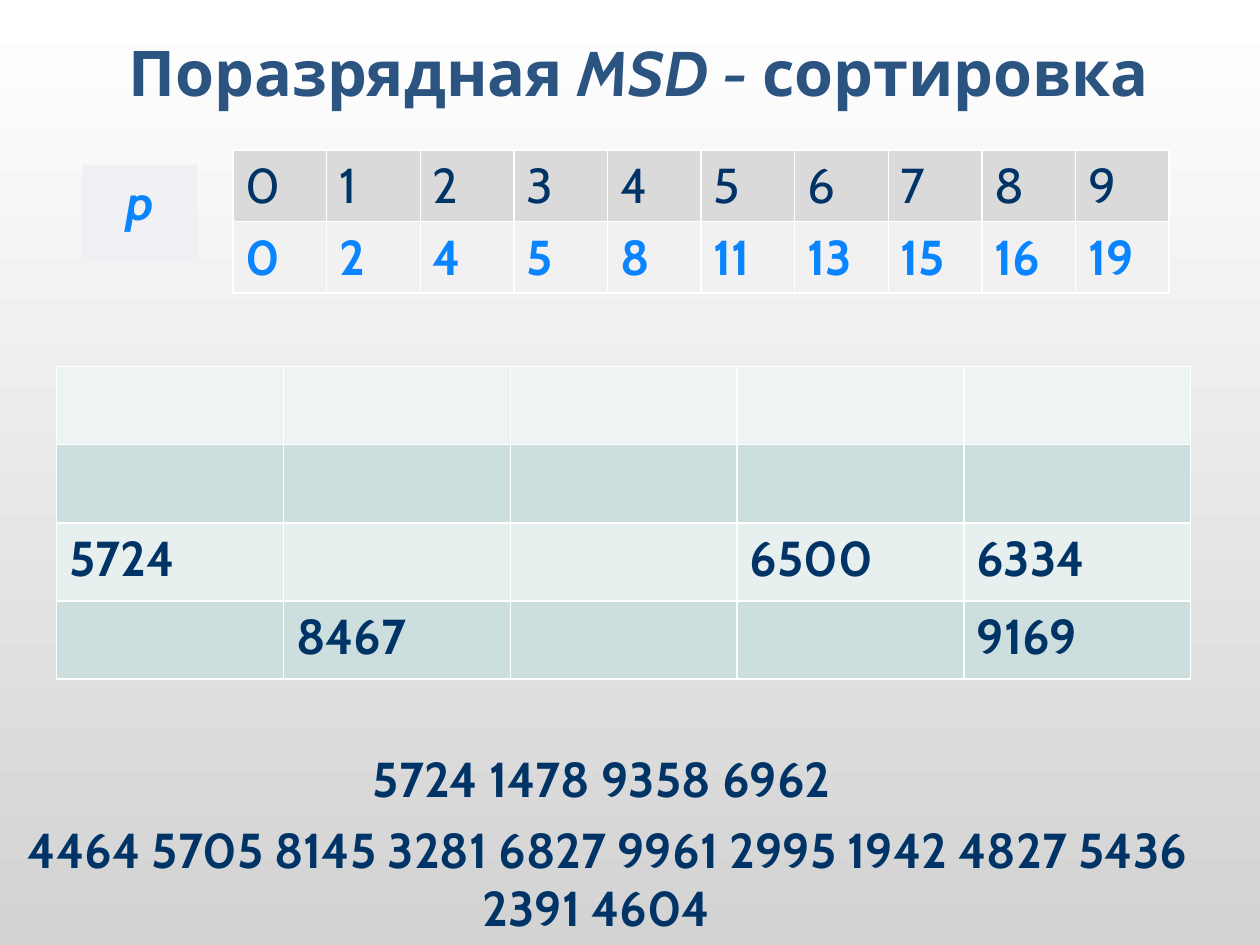
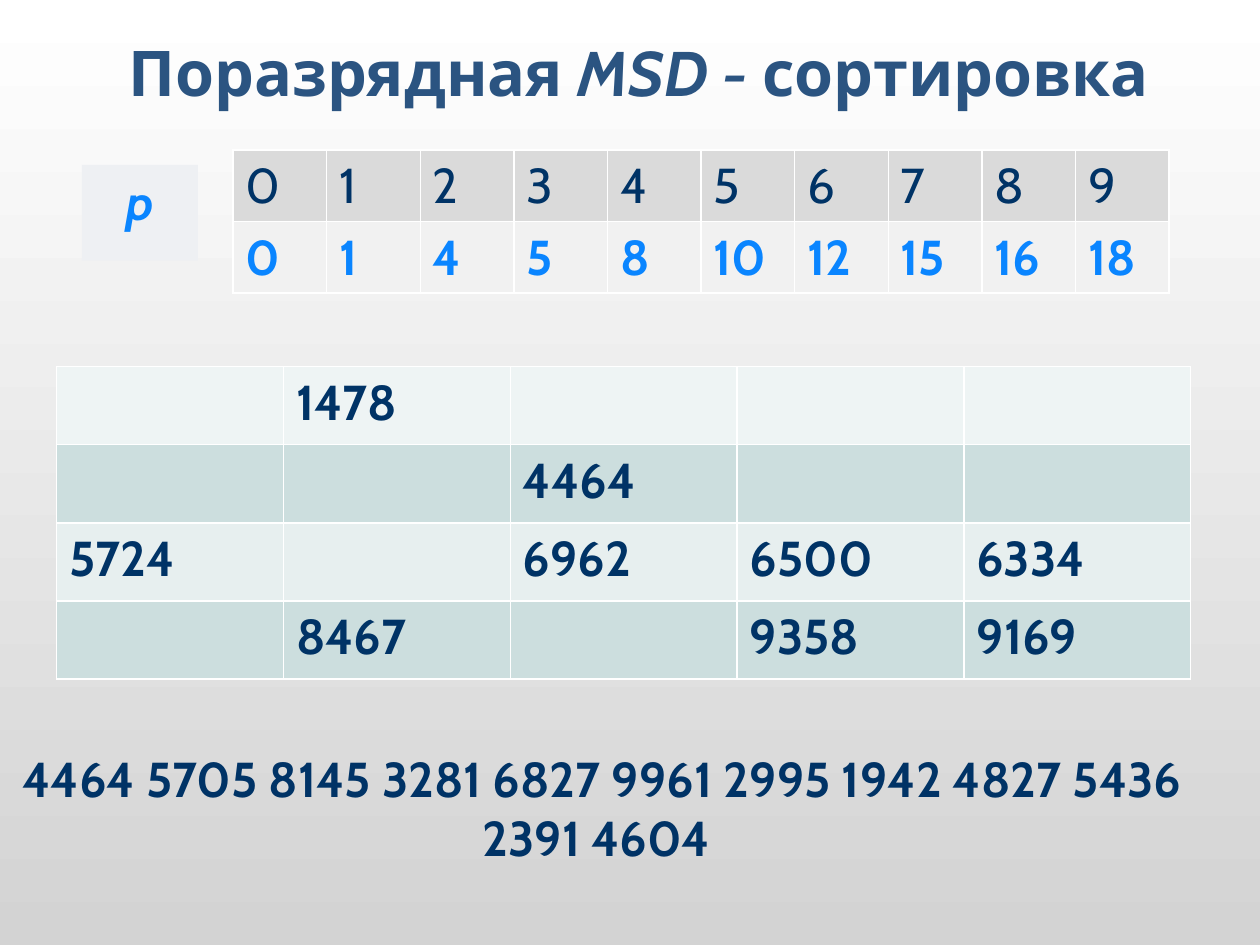
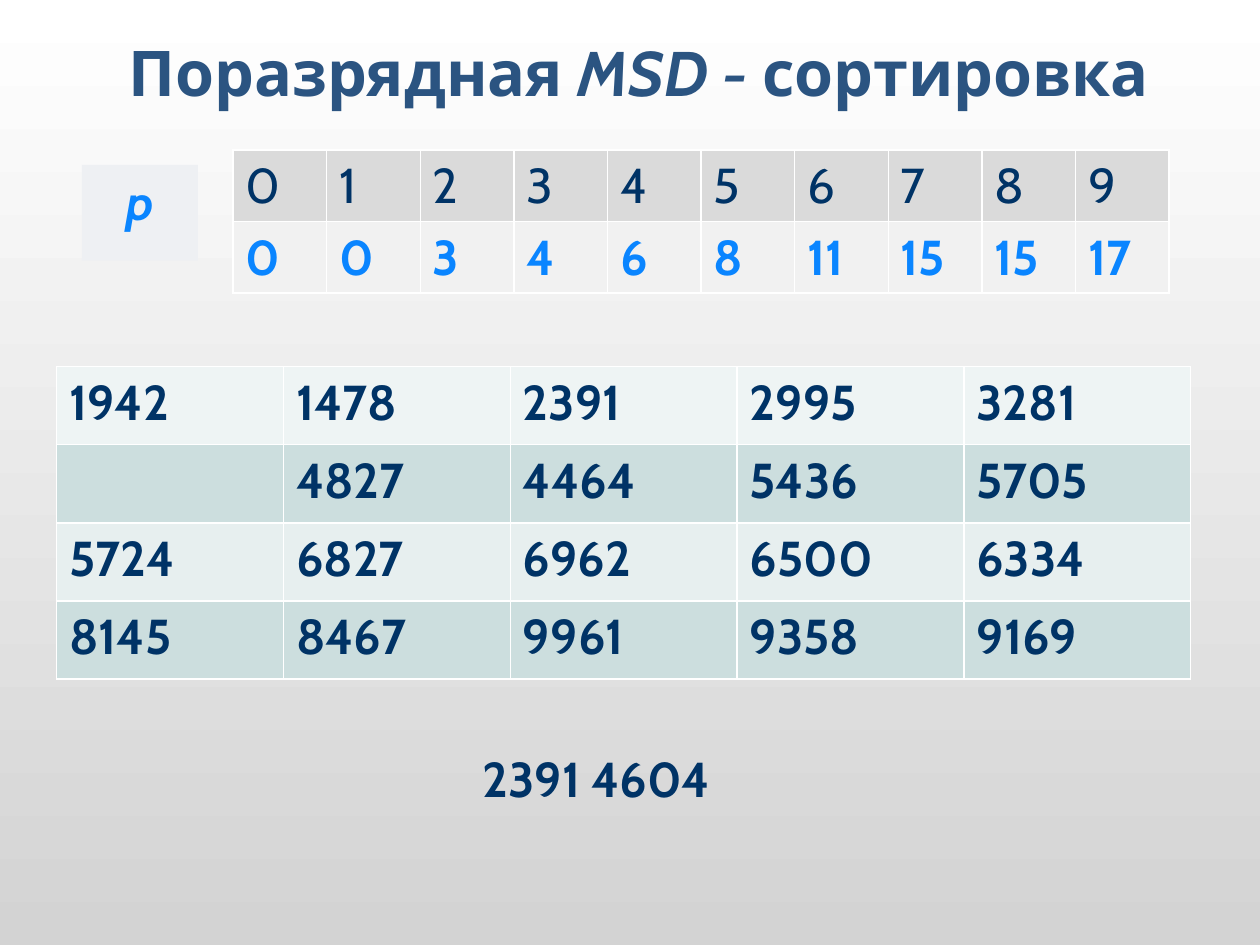
from collections import namedtuple
from dataclasses import dataclass

from lxml.etree import SubElement
from pptx import Presentation
from pptx.dml.color import RGBColor
from pptx.enum.shapes import MSO_SHAPE
from pptx.enum.text import MSO_ANCHOR, MSO_AUTO_SIZE, PP_ALIGN
from pptx.oxml.ns import qn
from pptx.util import Inches, Pt

Box = namedtuple("Box", "left top width height")
Step = namedtuple("Step", "positions numbers waiting")


@dataclass(frozen=True)
class Theme:
    """Colours and type sizes shared by all slides."""
    font: str = "Cabin"
    title_size: float = 36
    body_size: float = 28
    paragraph_gap: float = 6.8
    border_width: float = 1
    title: str = "2B5481"
    text: str = "003366"
    accent: str = "0A85FF"
    label_fill: str = "EEF0F3"
    border: str = "FFFFFF"
    digit_fills: tuple = ("DADADA", "F1F1F1")
    number_fills: tuple = ("EEF4F4", "CCDEDE", "E7EFEF", "CCDEDE")
    background: tuple = ("FFFFFF", "D3D3D3")


THEME = Theme()
TITLE_BOX = Box(0.57, 0.32, 9, 0.5)
LABEL_BOX = Box(0.65, 1.31, 0.92, 0.76)
POSITIONS_BOX = Box(1.85, 1.19, 7.43, 0.97)
NUMBERS_BOX = Box(0.45, 2.91, 9, 2.48)
WAITING_BOX = Box(0, 5.89, 9.55, 0.57)

STEPS = [
    Step(
        [0, 2, 4, 5, 8, 11, 13, 15, 16, 19],
        [["", "", "", "", ""],
         ["", "", "", "", ""],
         ["5724", "", "", "6500", "6334"],
         ["", "8467", "", "", "9169"]],
        ["5724 1478 9358 6962",
         " 4464 5705 8145 3281 6827 9961 2995 1942 4827 5436 2391 4604 "],
    ),
    Step(
        [0, 1, 4, 5, 8, 10, 12, 15, 16, 18],
        [["", "1478", "", "", ""],
         ["", "", "4464", "", ""],
         ["5724", "", "6962", "6500", "6334"],
         ["", "8467", "", "9358", "9169"]],
        ["4464 5705 8145 3281 6827 9961 2995 1942 4827 5436 2391 4604 "],
    ),
    Step(
        [0, 0, 3, 4, 6, 8, 11, 15, 15, 17],
        [["1942", "1478", "2391", "2995", "3281"],
         ["", "4827", "4464", "5436", "5705"],
         ["5724", "6827", "6962", "6500", "6334"],
         ["8145", "8467", "9961", "9358", "9169"]],
        ["2391 4604 "],
    ),
]


def inches(box):
    """Return the sides of a box as lengths."""
    return [Inches(side) for side in box]


def style_runs(paragraph, size, color, bold=True, italic=False):
    """Format every run of a paragraph."""
    for run in paragraph.runs:
        run.font.name = THEME.font
        run.font.size = Pt(size)
        run.font.color.rgb = RGBColor.from_string(color)
        run.font.bold = bold
        run.font.italic = italic


def paint(part, color):
    """Fill a shape or cell with one colour."""
    part.fill.solid()
    part.fill.fore_color.rgb = RGBColor.from_string(color)


def set_borders(cell):
    """Draw the four borders of a table cell."""
    properties = cell._tc.get_or_add_tcPr()
    for side in ("a:lnL", "a:lnR", "a:lnT", "a:lnB"):
        line = SubElement(properties, qn(side), w=str(Pt(THEME.border_width)))
        solid = SubElement(line, qn("a:solidFill"))
        SubElement(solid, qn("a:srgbClr"), val=THEME.border)


def add_grid(slide, box, rows, fills, colors, bolds):
    """Add a table whose rows each have their own fill, colour and weight."""
    grid = slide.shapes.add_table(len(rows), len(rows[0]), *inches(box)).table
    grid.first_row = grid.horz_banding = False
    for r, values in enumerate(rows):
        for c, value in enumerate(values):
            cell = grid.cell(r, c)
            set_borders(cell)
            paint(cell, fills[r])
            cell.text_frame.text = str(value)
            style_runs(cell.text_frame.paragraphs[0], THEME.body_size, colors[r], bolds[r])


def add_title(slide, box):
    """Add the slide title with its italic algorithm name."""
    frame = slide.shapes.add_textbox(*inches(box)).text_frame
    frame.word_wrap = True
    frame.vertical_anchor = MSO_ANCHOR.MIDDLE
    heading = frame.paragraphs[0]
    heading.alignment = PP_ALIGN.CENTER
    for words in ("Поразрядная ", "MSD - ", "сортировка"):
        heading.add_run().text = words
    style_runs(heading, THEME.title_size, THEME.title)
    heading.runs[1].font.italic = True


def add_label(slide, box):
    """Add the name of the position array."""
    label = slide.shapes.add_shape(MSO_SHAPE.RECTANGLE, *inches(box))
    label.shadow.inherit = False
    label.line.fill.background()
    paint(label, THEME.label_fill)
    label.text_frame.vertical_anchor = MSO_ANCHOR.TOP
    label.text_frame.text = "p"
    name = label.text_frame.paragraphs[0]
    name.alignment = PP_ALIGN.CENTER
    style_runs(name, THEME.body_size, THEME.accent, italic=True)


def add_waiting(slide, box, lines):
    """Add the numbers that are still to be placed."""
    frame = slide.shapes.add_textbox(*inches(box)).text_frame
    frame.word_wrap = True
    frame.auto_size = MSO_AUTO_SIZE.SHAPE_TO_FIT_TEXT
    frame.text = "\n".join(lines)
    for i, paragraph in enumerate(frame.paragraphs):
        paragraph.alignment = PP_ALIGN.CENTER
        paragraph.space_before = Pt(THEME.paragraph_gap if i else 0)
        style_runs(paragraph, THEME.body_size, THEME.text)


def add_step(slide, step):
    """Build the slide of one sorting step."""
    add_grid(slide, NUMBERS_BOX, step.numbers, THEME.number_fills,
             [THEME.text] * 4, [True] * 4)
    add_title(slide, TITLE_BOX)
    add_label(slide, LABEL_BOX)
    add_grid(slide, POSITIONS_BOX, [range(10), step.positions], THEME.digit_fills,
             [THEME.text, THEME.accent], [False, True])
    add_waiting(slide, WAITING_BOX, step.waiting)


def set_background(master):
    """Give all slides a vertical gradient."""
    fill = master.background.fill
    fill.gradient()
    fill.gradient_angle = 270
    for stop, color, position in zip(fill.gradient_stops, THEME.background, (0, 1)):
        stop.color.rgb = RGBColor.from_string(color)
        stop.position = position


def main():
    """Build and save the presentation."""
    deck = Presentation()
    deck.slide_width, deck.slide_height = Inches(10), Inches(7.5)
    set_background(deck.slide_master)
    for step in STEPS:
        add_step(deck.slides.add_slide(deck.slide_layouts[6]), step)
    deck.save("out.pptx")


if __name__ == "__main__":
    main()
